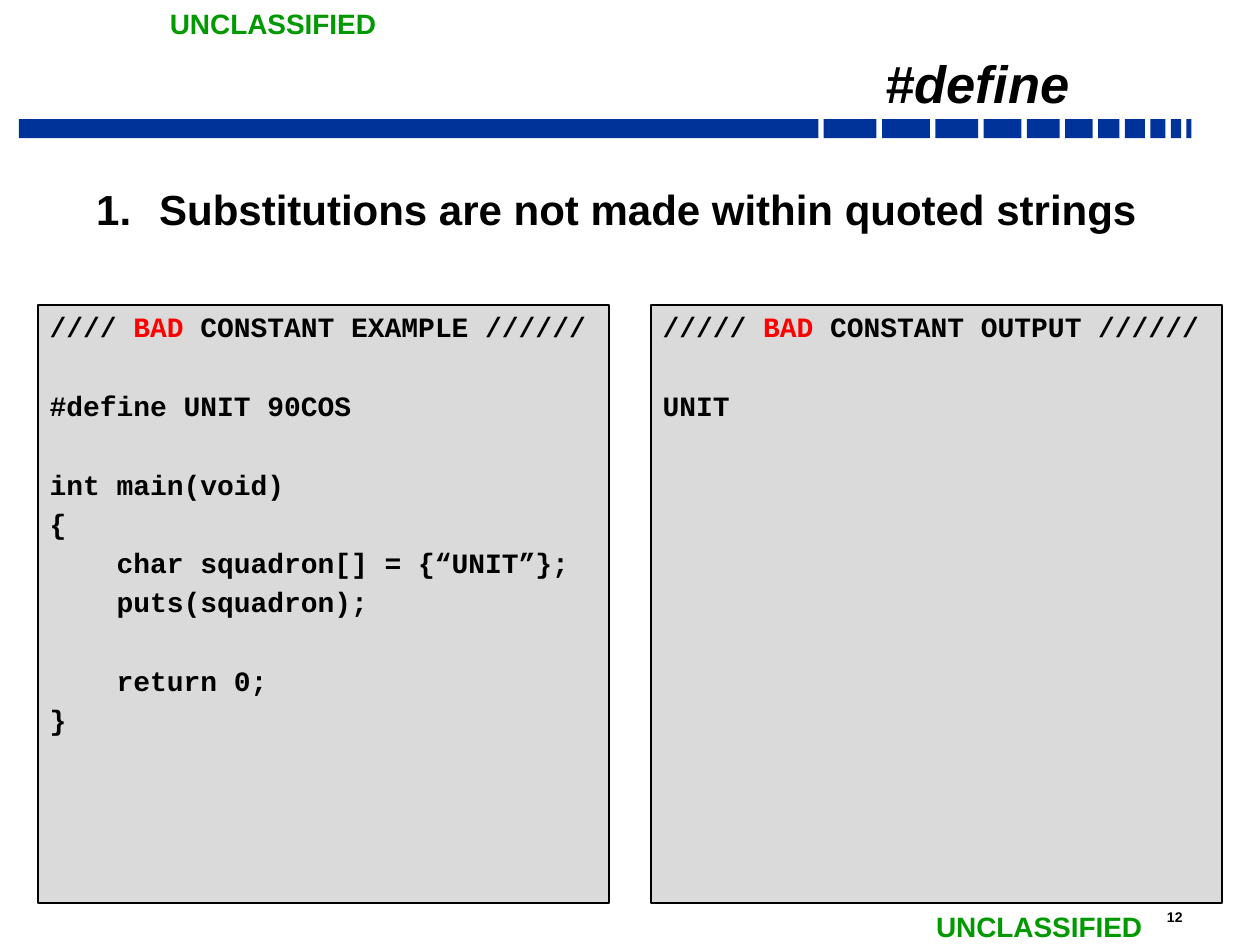
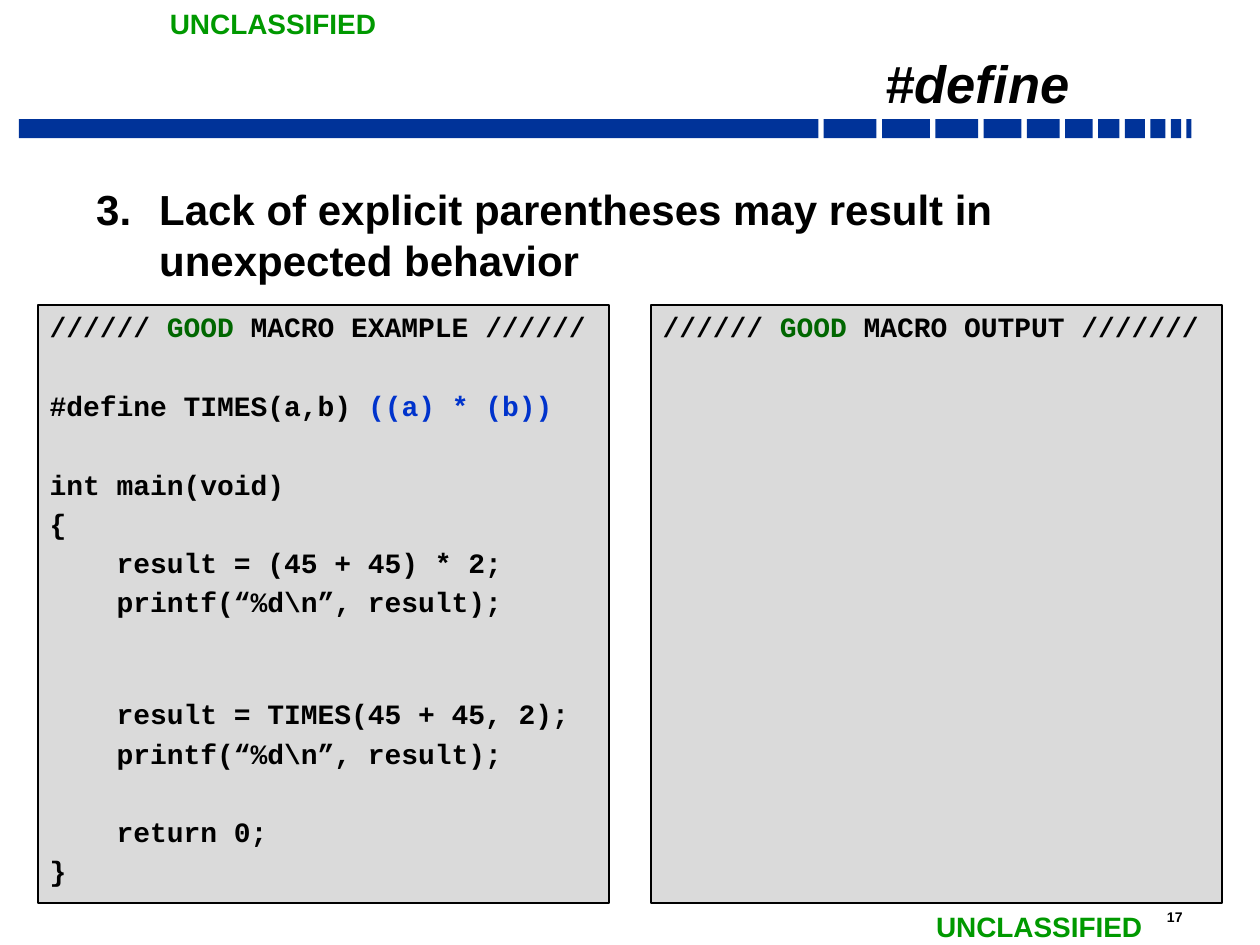
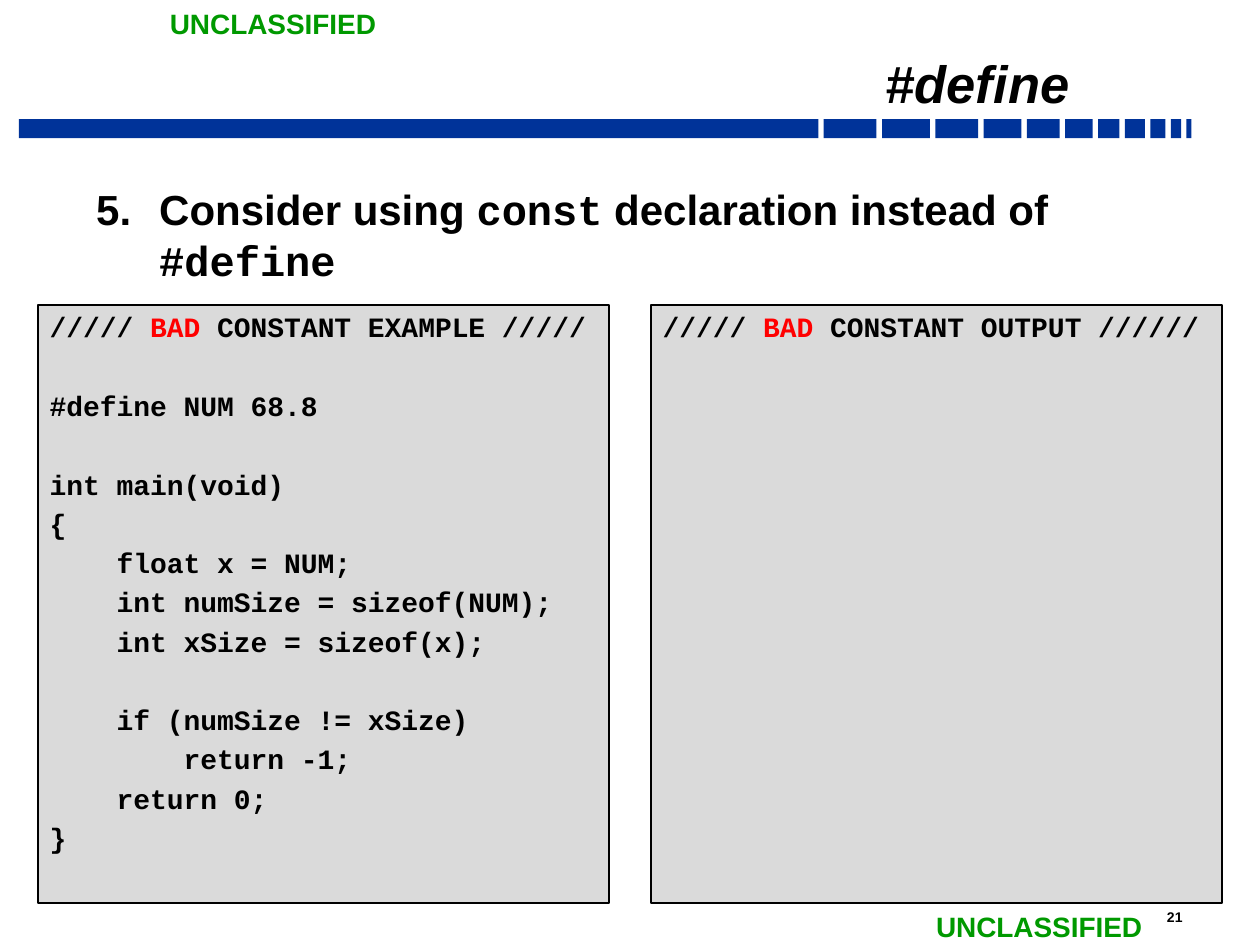
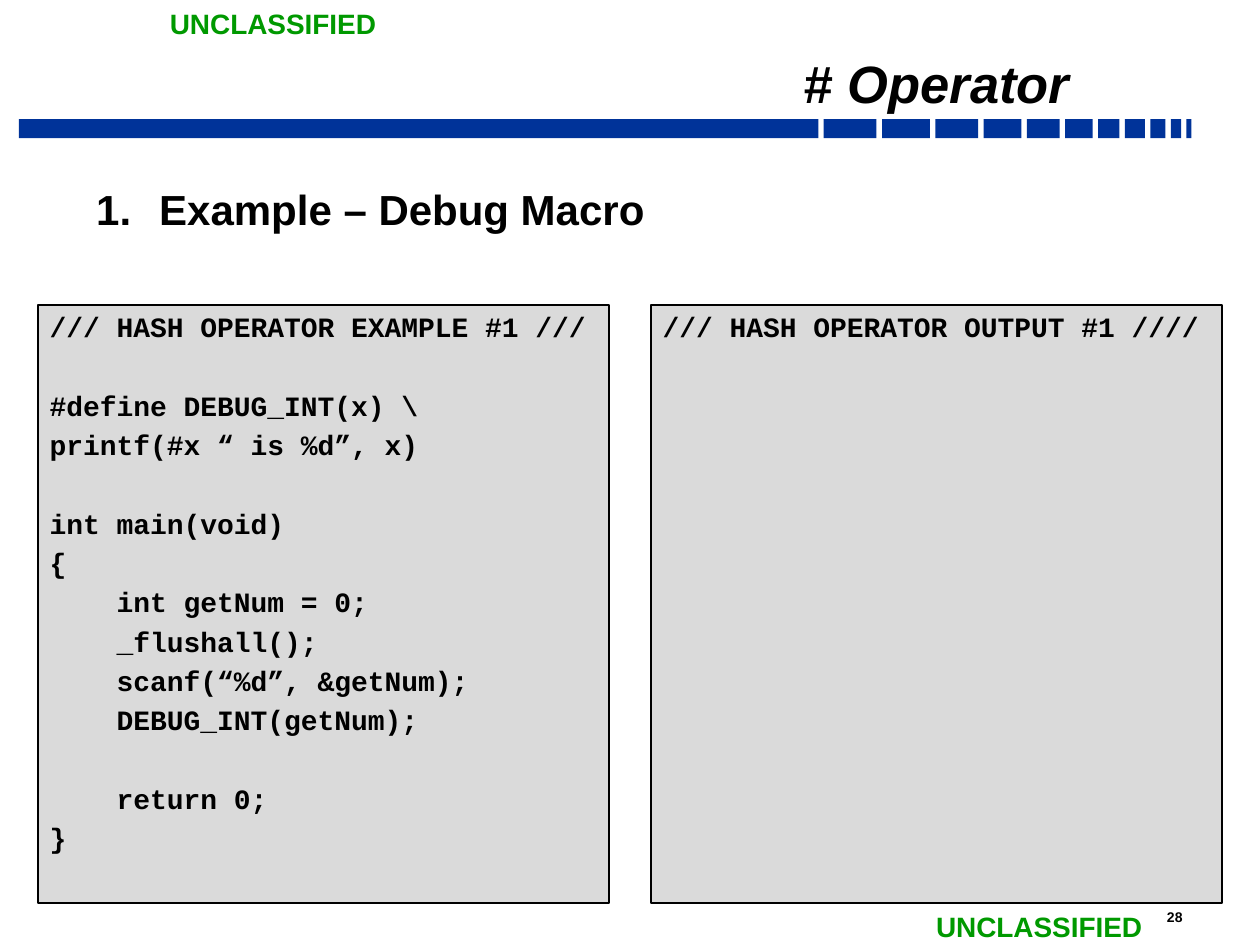
"""Builds four lecture slides on C preprocessor macros, each with a code panel and an output panel."""
from pptx import Presentation
from pptx.dml.color import RGBColor
from pptx.enum import shapes, text
from pptx.oxml.ns import qn
from pptx.util import Pt
from lxml import etree

BLACK = RGBColor(0x00, 0x00, 0x00)
NAVY = RGBColor(0x00, 0x33, 0x99)
BLUE = RGBColor(0x00, 0x33, 0xCC)
RED = RGBColor(0xFF, 0x00, 0x00)
GREEN = RGBColor(0x00, 0x66, 0x00)
MARKING_GREEN = RGBColor(0x00, 0x99, 0x00)
PANEL_GREY = RGBColor(0xDA, 0xDA, 0xDA)
SANS, MONO = "Arial", "Courier New"

LINE_GAP = 3.2
BLANK, WIDE_BLANK = 22.6, 41.6

MARKING = "UNCLASSIFIED"
MARKING_SPOTS = [(90, 0), (527.8, 516.2)]

BAND_LEFT, BAND_TOP, BAND_HEIGHT, BAND_GAP = 10.8, 68.1, 10.8, 3.1
BAND_WIDTHS = [456.8, 30.2, 27.4, 24.5, 21.6, 18.7, 15.8, 12.2, 11.5, 8.6, 5.8, 2.9]

PANEL_LEFTS = [21.9, 372.2]
PANEL_TOP, PANEL_WIDTH, PANEL_HEIGHT = 174.2, 326.2, 342

SLIDES = [
    {
        "title": "#define", "page": 12, "number": 1,
        "heading": [("Substitutions are not made within quoted strings", SANS)],
        "panels": [
            [
                [("//// ", BLACK), ("BAD", RED), (" CONSTANT EXAMPLE //////", BLACK)],
                BLANK,
                "#define UNIT 90COS",
                BLANK,
                "int main(void)",
                "{",
                "    char squadron[] = {“UNIT”};",
                "    puts(squadron);",
                BLANK,
                "    return 0;",
                "}",
            ],
            [
                [("///// ", BLACK), ("BAD", RED), (" CONSTANT OUTPUT //////", BLACK)],
                BLANK,
                "UNIT",
            ],
        ],
    },
    {
        "title": "#define", "page": 17, "number": 3,
        "heading": [("Lack of explicit parentheses may result in unexpected behavior", SANS)],
        "panels": [
            [
                [("////// ", BLACK), ("GOOD", GREEN), (" MACRO EXAMPLE //////", BLACK)],
                BLANK,
                [("#define TIMES(a,b) ", BLACK), ("((a) * (b))", BLUE)],
                BLANK,
                "int main(void)",
                "{",
                "    result = (45 + 45) * 2;",
                "    printf(“%d\\n”, result);",
                WIDE_BLANK,
                "    result = TIMES(45 + 45, 2);",
                "    printf(“%d\\n”, result);",
                BLANK,
                "    return 0;",
                "}",
            ],
            [[("////// ", BLACK), ("GOOD", GREEN), (" MACRO OUTPUT ///////", BLACK)]],
        ],
    },
    {
        "title": "#define", "page": 21, "number": 5,
        "heading": [("Consider using ", SANS), ("const", MONO),
                    (" declaration instead of ", SANS), ("#define", MONO)],
        "panels": [
            [
                [("///// ", BLACK), ("BAD", RED), (" CONSTANT EXAMPLE /////", BLACK)],
                BLANK,
                "#define NUM 68.8",
                BLANK,
                "int main(void)",
                "{",
                "    float x = NUM;",
                "    int numSize = sizeof(NUM);",
                "    int xSize = sizeof(x);",
                BLANK,
                "    if (numSize != xSize)",
                "        return -1;",
                "    return 0;",
                "}",
            ],
            [[("///// ", BLACK), ("BAD", RED), (" CONSTANT OUTPUT //////", BLACK)]],
        ],
    },
    {
        "title": "# Operator", "page": 28, "number": 1,
        "heading": [("Example – Debug Macro", SANS)],
        "panels": [
            [
                "/// HASH OPERATOR EXAMPLE #1 ///",
                BLANK,
                "#define DEBUG_INT(x) \\",
                "printf(#x “ is %d”, x)",
                BLANK,
                "int main(void)",
                "{",
                "    int getNum = 0;",
                "    _flushall();",
                "    scanf(“%d”, &getNum);",
                "    DEBUG_INT(getNum);",
                BLANK,
                "    return 0;",
                "}",
            ],
            ["/// HASH OPERATOR OUTPUT #1 ////"],
        ],
    },
]


def assign(obj, **values):
    for name, value in values.items():
        setattr(obj, name, value)


def place(sp, left, top, width, height):
    assign(sp, left=Pt(left), top=Pt(top), width=Pt(width), height=Pt(height))


def frame(sp, x=6.5, y=2.9, bottom=2.9, **values):
    tf = sp.text_frame
    assign(tf, margin_left=Pt(x), margin_right=Pt(x), margin_top=Pt(y),
           margin_bottom=Pt(bottom), **{"word_wrap": True, **values})
    return tf


def add_run(p, words, size, name=SANS, color=BLACK, italic=False):
    r = p.add_run()
    r.text = words
    assign(r.font, size=Pt(size), name=name, bold=True, italic=italic)
    r.font.color.rgb = color


def add_rect(slide, left, top, width, height, fill, line=None):
    sp = slide.shapes.add_shape(shapes.MSO_SHAPE.RECTANGLE,
                                Pt(left), Pt(top), Pt(width), Pt(height))
    sp.shadow.inherit = False
    sp.fill.solid()
    sp.fill.fore_color.rgb = fill
    if line is None:
        sp.line.fill.background()
    else:
        sp.line.color.rgb = line
        sp.line.width = Pt(1)
    return sp


def add_label(slide, left, top, width, height, words, size, color, wrap):
    sp = slide.shapes.add_textbox(Pt(left), Pt(top), Pt(width), Pt(height))
    tf = frame(sp, 7.2, 3.6, 3.6, word_wrap=wrap)
    add_run(tf.paragraphs[0], words, size, color=color)


def add_frame_parts(slide, page):
    left = BAND_LEFT
    for width in BAND_WIDTHS:
        add_rect(slide, left, BAND_TOP, width, BAND_HEIGHT, NAVY)
        left += width + BAND_GAP
    add_label(slide, 659.8, 515.8, 38.9, 16.6, str(page), 8, BLACK, True)
    for x, y in MARKING_SPOTS:
        add_label(slide, x, y, 133.9, 26.6, MARKING, 16, MARKING_GREEN, False)


def set_title(slide, words):
    sp = slide.shapes.title
    place(sp, 119.4, 24.7, 498.2, 42.5)
    tf = frame(sp, vertical_anchor=text.MSO_ANCHOR.BOTTOM, auto_size=text.MSO_AUTO_SIZE.NONE)
    p = tf.paragraphs[0]
    assign(p, alignment=text.PP_ALIGN.RIGHT, line_spacing=0.7)
    add_run(p, words, 30, italic=True)


def add_heading(slide, number, runs):
    sp = slide.shapes.add_textbox(Pt(44.2), Pt(102.2), Pt(653), Pt(372.2))
    p = frame(sp, y=1.8).paragraphs[0]
    p.line_spacing = Pt(29.5)
    pPr = p._p.get_or_add_pPr()
    pPr.set("marL", str(Pt(40.3)))
    pPr.set("indent", str(Pt(-36)))
    etree.SubElement(pPr, qn("a:buFont"), typeface=SANS)
    etree.SubElement(pPr, qn("a:buAutoNum"), type="arabicPeriod", startAt=str(number))
    for words, name in runs:
        add_run(p, words, 24, name)


def add_panel(slide, left, lines):
    sp = add_rect(slide, left, PANEL_TOP, PANEL_WIDTH, PANEL_HEIGHT, PANEL_GREY, BLACK)
    tf = frame(sp, vertical_anchor=text.MSO_ANCHOR.TOP)
    p, gap = None, 0
    for line in lines:
        if isinstance(line, float):
            gap += line
            continue
        p = tf.add_paragraph() if p else tf.paragraphs[0]
        assign(p, alignment=text.PP_ALIGN.LEFT, space_before=Pt(gap))
        for words, color in [(line, BLACK)] if isinstance(line, str) else line:
            add_run(p, words, 16, MONO, color)
        gap = LINE_GAP


def main():
    prs = Presentation()
    assign(prs, slide_width=Pt(720), slide_height=Pt(540))
    for content in SLIDES:
        slide = prs.slides.add_slide(prs.slide_layouts[5])
        add_frame_parts(slide, content["page"])
        set_title(slide, content["title"])
        add_heading(slide, content["number"], content["heading"])
        for left, lines in zip(PANEL_LEFTS, content["panels"]):
            add_panel(slide, left, lines)
    prs.save("out.pptx")


if __name__ == "__main__":
    main()
